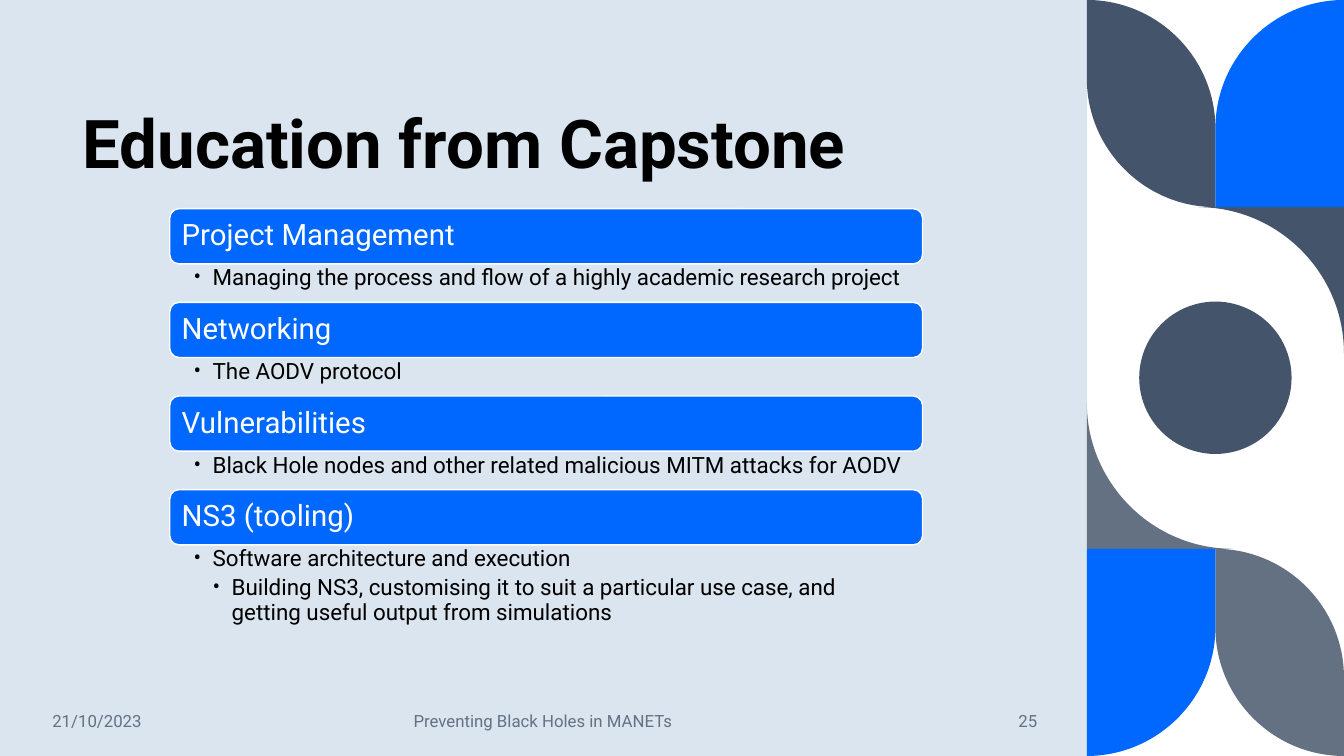
from lxml import etree
from pptx import Presentation
from pptx.dml.color import RGBColor
from pptx.enum.shapes import MSO_SHAPE as Shape
from pptx.enum.text import MSO_ANCHOR as Anchor, PP_ALIGN as Align
from pptx.oxml.ns import qn
from pptx.util import Cm, Pt

BLUE, NAVY, GRAY = "0068FF", "44546A", "637183"
WIDE, HIGH = 33.87, 19.05
hue = RGBColor.from_string


def paint(shape, fill, edge=None):
    shape.shadow.inherit = False
    shape.fill.solid()
    shape.fill.fore_color.rgb = hue(fill)
    if edge:
        shape.line.color.rgb = hue(edge)
        shape.line.width = Pt(1)
    else:
        shape.line.fill.background()


def write(frame, text, size, color, bold=False, align=Align.LEFT, anchor=Anchor.MIDDLE,
          pad=(0.25, 0.13, 0.25, 0.13), level=0, after=0, space=0.9, more=False):
    """Write one paragraph; level above 0 gives a bullet, more adds to earlier text."""
    frame.word_wrap = True
    frame.vertical_anchor = anchor
    (frame.margin_left, frame.margin_top,
     frame.margin_right, frame.margin_bottom) = [Cm(n) for n in pad]
    para = frame.add_paragraph() if more else frame.paragraphs[0]
    para.alignment = align
    para.line_spacing = space
    para.space_before = Pt(0)
    para.space_after = Pt(after)
    if level:
        para.level = level
        props = para._p.get_or_add_pPr()
        props.set("marL", str(Cm(0.48 * level)))
        props.set("indent", str(-Cm(0.48)))
        etree.SubElement(props, qn("a:buFont")).set("typeface", "Roboto")
        etree.SubElement(props, qn("a:buChar")).set("char", "•")
    run = para.add_run()
    run.text = text
    font = run.font
    font.name, font.size, font.bold = "Roboto", Pt(size), bold
    font.color.rgb = hue(color)


deck = Presentation()
deck.slide_width, deck.slide_height = Cm(WIDE), Cm(HIGH)
slide = deck.slides.add_slide(deck.slide_layouts[5])
shapes = slide.shapes

# Side pattern: three outlines at the top, turned by 180 degrees at the bottom
left, mid, tile = 27.39, 30.63, 5.22
half, bend = WIDE - mid, 3.68
base = shapes.add_shape(Shape.RECTANGLE, 0, 0, Cm(left), Cm(HIGH))
paint(base, "DAE5EF")

# Two numbers are a straight line's end; four are the corner that
# a quarter circle rounds off, then its end.
leaf = [(left, 0), (left, tile - half), (left, tile, mid, tile),
        (mid, half), (mid, 0, left, 0)]
wedge = [(WIDE, tile), (WIDE - bend, tile), (WIDE, tile, WIDE, tile + bend)]
arch = [(WIDE, 0), (WIDE, tile), (mid, tile), (mid, half), (mid, 0, WIDE, 0)]
pull = 0.55
for turn, tone in ((False, NAVY), (True, GRAY)):
    for outline, color in ((leaf, tone), (wedge, tone), (arch, BLUE)):
        points, curves = [], []
        for *corner, x, y in outline:
            if corner:
                cx, cy = corner
                px, py = points[-1]
                curves.append(len(points) - 1)
                points += [(px + pull * (cx - px), py + pull * (cy - py)),
                           (x + pull * (cx - x), y + pull * (cy - y))]
            points.append((x, y))
        if turn:
            points = [(left + WIDE - x, HIGH - y) for x, y in points]
        spots = [(Cm(x), Cm(y)) for x, y in points]
        form = shapes.build_freeform(*spots[0])
        form.add_line_segments(spots[1:], close=True)
        part = form.convert_to_shape()
        paint(part, color)
        lines = list(part._element.iter(qn("a:lnTo")))
        for first in curves:
            curve = etree.Element(qn("a:cubicBezTo"))
            lines[first].addprevious(curve)
            for line in lines[first:first + 3]:
                curve.append(line[0])
                line.getparent().remove(line)

disc = 3.84
circle = shapes.add_shape(Shape.OVAL, Cm(mid - disc / 2), Cm(7.6), Cm(disc), Cm(disc))
paint(circle, NAVY)

title = shapes.title
shapes._spTree.append(title._element)
title.left, title.top, title.width, title.height = Cm(2.08), Cm(0.38), Cm(23.34), Cm(4.37)
write(title.text_frame, "Education from Capstone", 48, "000000", bold=True,
      anchor=Anchor.BOTTOM, pad=(0, 0.13, 0.25, 0.13))

for x, width, text, align in (
    (1.07, 4.37, "21/10/2023", Align.LEFT),
    (7.97, 11.43, "Preventing Black Holes in MANETs", Align.CENTER),
    (23.14, 3.25, "25", Align.RIGHT),
):
    foot = shapes.add_textbox(Cm(x), Cm(17.66), Cm(width), Cm(1.01))
    write(foot.text_frame, text, 12, GRAY, align=align, space=1.0)

topics = [
    ("Project Management",
     ["Managing the process and flow of a highly academic research project"]),
    ("Networking", ["The AODV protocol"]),
    ("Vulnerabilities",
     ["Black Hole nodes and other related malicious MITM attacks for AODV"]),
    ("NS3 (tooling)",
     ["Software architecture and execution",
      "Building NS3, customising it to suit a particular use case, "
      "and getting useful output from simulations"]),
]
x, width, bar, note, inset = 4.28, 18.97, 1.39, 0.97, 0.07
for row, (head, items) in enumerate(topics):
    y = 5.26 + row * 2.36
    box = shapes.add_shape(Shape.ROUNDED_RECTANGLE, Cm(x), Cm(y), Cm(width), Cm(bar))
    paint(box, BLUE, edge="FFFFFF")
    label = shapes.add_textbox(Cm(x + inset), Cm(y + inset),
                               Cm(width - 2 * inset), Cm(bar - 2 * inset))
    write(label.text_frame, head, 21, "FFFFFF", pad=(0.23, 0.23, 0.23, 0.23))
    body = shapes.add_textbox(Cm(x), Cm(y + bar), Cm(width),
                              Cm(note + 1.14 * (len(items) - 1)))
    for level, item in enumerate(items, 1):
        write(body.text_frame, item, 16, "000000", anchor=Anchor.TOP, level=level,
              after=3.5, pad=(0.6, 0.07, 0.4, 0.07), more=level > 1)

deck.save("out.pptx")
